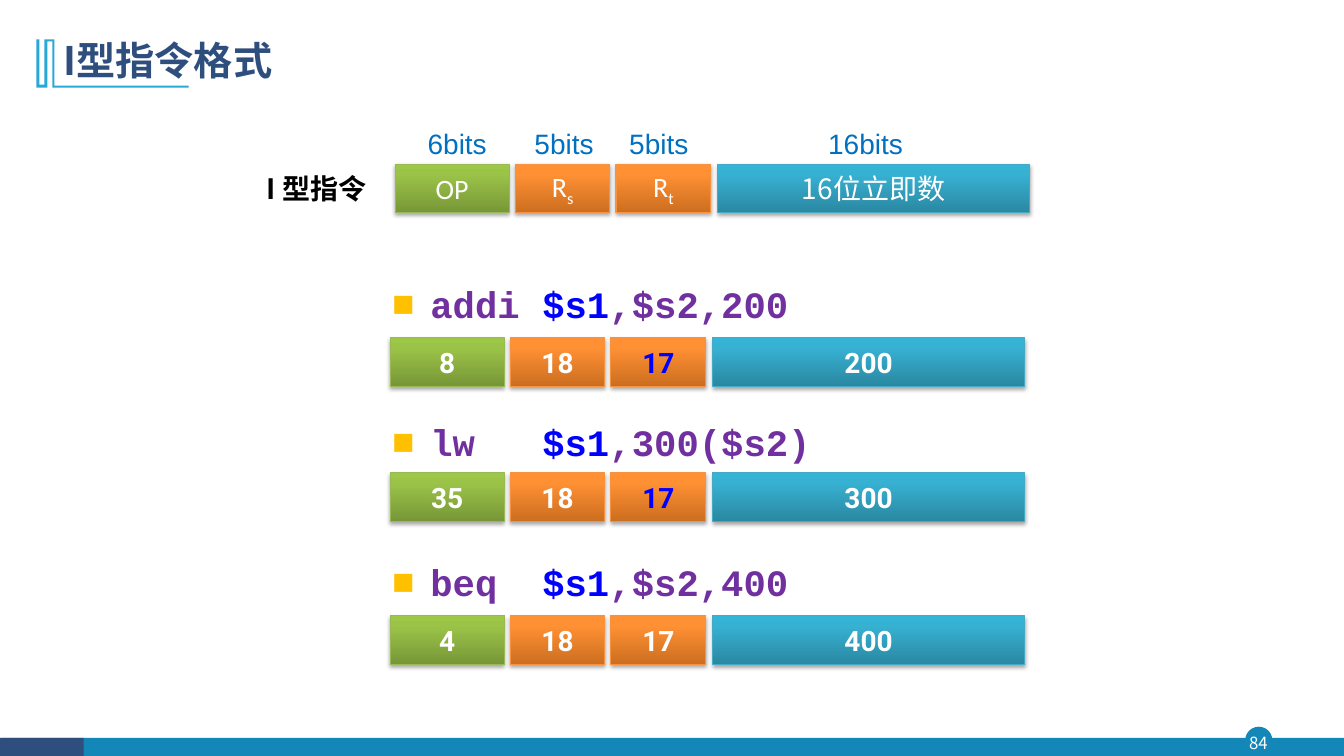
from dataclasses import dataclass

from lxml import etree
from pptx import Presentation
from pptx.dml.color import RGBColor
from pptx.enum.shapes import MSO_SHAPE
from pptx.enum.text import MSO_ANCHOR, MSO_AUTO_SIZE, PP_ALIGN
from pptx.oxml.ns import qn
from pptx.util import Inches, Pt

RECT, OVAL = MSO_SHAPE.RECTANGLE, MSO_SHAPE.OVAL
LEFT, CENTER = PP_ALIGN.LEFT, PP_ALIGN.CENTER
TOP, MIDDLE = MSO_ANCHOR.TOP, MSO_ANCHOR.MIDDLE


@dataclass(frozen=True)
class Theme:
    navy: str = "2E4E7E"
    teal: str = "1387B7"
    cyan: str = "28A9D6"
    white: str = "FFFFFF"
    black: str = "000000"
    label: str = "0070C0"
    code: str = "7030A0"
    target: str = "0000FF"
    bullet: str = "FFC000"
    # outline, then gradient from bottom to top
    green: tuple = ("98B955", "779737", "9BC348", "9DC746")
    orange: tuple = ("F69240", "CC6E20", "FF9034", "FF9136")
    blue: tuple = ("46AAC5", "2A88A2", "37B1D2", "34B4D6")
    cjk: str = "Noto Sans CJK SC"
    title_size: float = 28
    code_size: float = 26.6
    field_size: float = 20
    number_size: float = 12


theme = Theme()


def write(shape, spans, size, font, bold=False, align=CENTER, anchor=MIDDLE):
    """Fill the first paragraph with (text, colour, baseline) spans."""
    frame = shape.text_frame
    settings = {"word_wrap": True, "vertical_anchor": anchor, "auto_size": MSO_AUTO_SIZE.NONE}
    for name, value in settings.items():
        setattr(frame, name, value)
    para = frame.paragraphs[0]
    para.alignment = align
    for text, color, baseline in spans:
        span = para.add_run()
        span.text = text
        for name, value in {"size": Pt(size), "bold": bold, "name": font}.items():
            setattr(span.font, name, value)
        span.font.color.rgb = RGBColor.from_string(color)
        properties = span.font._element
        etree.SubElement(properties, qn("a:ea"), typeface=font)
        if baseline:
            properties.set("baseline", str(baseline * 1000))
    return para


def add_block(kind, left, top, width, height, color):
    """Add a flat shape without outline or shadow."""
    block = page.shapes.add_shape(kind, Inches(left), Inches(top), Inches(width), Inches(height))
    block.shadow.inherit = False
    block.fill.solid()
    block.fill.fore_color.rgb = RGBColor.from_string(color)
    block.line.fill.background()
    return block


deck = Presentation()
deck.slide_width, deck.slide_height = Inches(13.33), Inches(7.5)
page = deck.slides.add_slide(deck.slide_layouts[5])

# Footer and page number
add_block(OVAL, 12.35, 7.21, 0.27, 0.27, theme.teal)
add_block(RECT, 0.01, 7.32, 13.32, 0.19, theme.teal)
add_block(RECT, 0, 7.32, 0.83, 0.19, theme.navy)
number = page.shapes.add_textbox(Inches(12.32), Inches(7.21), Inches(0.32), Inches(0.31))
for side in ("left", "right", "top", "bottom"):
    setattr(number.text_frame, f"margin_{side}", 0)
write(number, [("84", theme.white, 0)], theme.number_size, theme.cjk)

# Title with its bracket ornament
outline = [(0.54, 0.39), (0.54, 0.85), (1.87, 0.85), (1.87, 0.87), (0.52, 0.87),
           (0.52, 0.41), (0.47, 0.41), (0.47, 0.87), (0.36, 0.87), (0.36, 0.39),
           (0.39, 0.39), (0.39, 0.84), (0.44, 0.84), (0.44, 0.39)]
corners = [(Inches(x), Inches(y)) for x, y in outline]
builder = page.shapes.build_freeform(*corners[0])
builder.add_line_segments(corners[1:], close=True)
bracket = builder.convert_to_shape()
bracket.shadow.inherit = False
bracket.fill.solid()
bracket.fill.fore_color.rgb = RGBColor.from_string(theme.cyan)
bracket.line.fill.background()

title = page.shapes.title
title_place = {"left": 0.53, "top": 0.28, "width": 11.5, "height": 0.68}
for name, value in title_place.items():
    setattr(title, name, Inches(value))
heading = write(title, [("I型指令格式", theme.navy, 0)],
                theme.title_size, theme.cjk, bold=True, align=LEFT)
heading.line_spacing = 0.9

# Field rows: the format itself, then one encoded row per instruction
white, target = theme.white, theme.target
columns = [(0, 1.13, theme.green), (1.19, 0.94, theme.orange),
           (2.19, 0.94, theme.orange), (3.2, 3.09, theme.blue)]
names = [[("OP", white, 0)], [("R", white, 0), ("s", white, -25)],
         [("R", white, 0), ("t", white, -25)], [("16位立即数", white, 0)]]
rows = [(3.92, 1.63, names, ("Calibri", "Calibri", "Calibri", theme.cjk), False)]
encodings = [(3.35, ("8", "18", "17", "200"), target),
             (4.69, ("35", "18", "17", "300"), target),
             (6.11, ("4", "18", "17", "400"), white)]
for top, values, rt_color in encodings:
    colors = (white, white, rt_color, white)
    cells = [[(value, color, 0)] for value, color in zip(values, colors)]
    rows.append((3.87, top, cells, ("Roboto",) * 4, True))

for left, top, cells, fonts, bold in rows:
    for (offset, width, tones), spans, font in zip(columns, cells, fonts):
        field = add_block(RECT, left + offset, top, width, 0.48, tones[0])
        field.line.color.rgb = RGBColor.from_string(tones[0])
        field.line.width = Pt(0.75)
        field.fill.gradient()
        field.fill.gradient_angle = 90
        stops = next(field._element.iter(qn("a:gsLst")))
        for stop in list(stops):
            stops.remove(stop)
        for position, tone in zip((0, 80, 100), tones[1:]):
            stop = etree.SubElement(stops, qn("a:gs"), pos=str(position * 1000))
            etree.SubElement(stop, qn("a:srgbClr"), val=tone)
        effects = next(field._element.iter(qn("a:effectLst")))
        shadow = etree.SubElement(effects, qn("a:outerShdw"), blurRad=str(Pt(3.1)),
                                  dist=str(Pt(1.8)), dir="5400000", rotWithShape="0")
        shade = etree.SubElement(shadow, qn("a:srgbClr"), val=theme.black)
        etree.SubElement(shade, qn("a:alpha"), val="35000")
        write(field, spans, theme.field_size, font, bold)

# Field widths and row label
for left, bits in ((4.05, "6bits"), (5.11, "5bits"), (6.05, "5bits"), (8.1, "16bits")):
    label = page.shapes.add_textbox(Inches(left), Inches(1.21), Inches(0.97), Inches(0.45))
    write(label, [(bits, theme.label, 0)], theme.field_size, "Arial", anchor=TOP)
row_label = add_block(RECT, 2.43, 1.63, 1.42, 0.48, theme.white)
write(row_label, [("I 型指令", theme.black, 0)], theme.field_size, theme.cjk, bold=True)

# Assembly instructions
instructions = [(2.58, "addi ", ",$s2,200"), (3.95, "lw   ", ",300($s2)"),
                (5.34, "beq  ", ",$s2,400")]
for top, operation, operands in instructions:
    box = page.shapes.add_textbox(Inches(3.79), Inches(top), Inches(6.25), Inches(0.55))
    box.text_frame.margin_top = Inches(0.12)
    spans = [(operation, theme.code, 0), ("$s1", target, 0), (operands, theme.code, 0)]
    para = write(box, spans, theme.code_size, "Courier New", True, LEFT, TOP)
    para.line_spacing = 1.2
    properties = para._p.get_or_add_pPr()
    properties.set("marL", str(Inches(0.38)))
    properties.set("indent", str(-Inches(0.38)))
    bullet_color = etree.SubElement(properties, qn("a:buClr"))
    etree.SubElement(bullet_color, qn("a:srgbClr"), val=theme.bullet)
    etree.SubElement(properties, qn("a:buFont"), typeface="Arial")
    etree.SubElement(properties, qn("a:buChar"), char="■")

deck.save("out.pptx")
